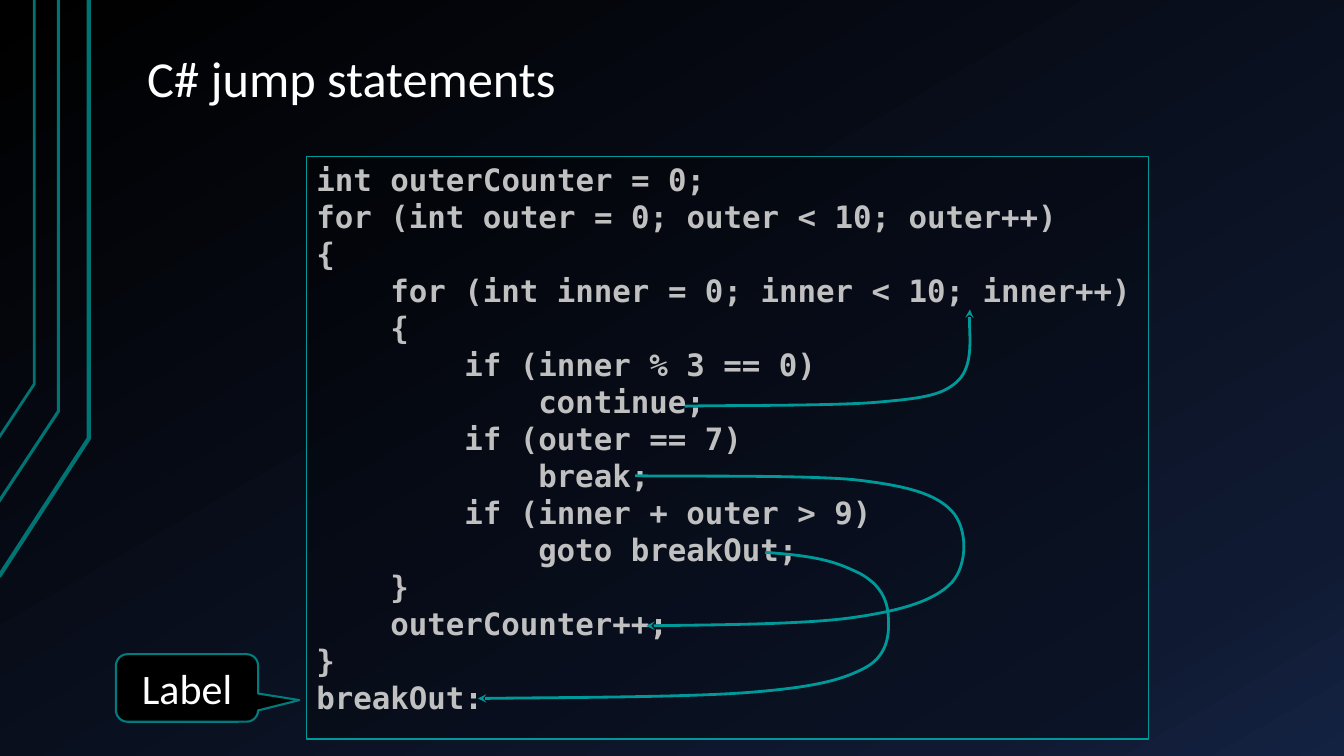
from pptx import Presentation
from pptx.dml.color import RGBColor
from pptx.enum.shapes import MSO_SHAPE
from pptx.enum.text import MSO_ANCHOR, PP_ALIGN
from pptx.oxml.ns import qn
from pptx.util import Inches, Pt
from lxml.etree import SubElement

TEAL, DARK, WHITE, GREY = "009999", "007373", "FFFFFF", "C0C0C0"
SANS, MONO = "Calibri", "DejaVu Sans Mono"
SIZE = 22
STEP = 4 * 0.6 * SIZE / 72  # four mono characters, in inches

CODE = [
    (0, "int outerCounter = 0;"),
    (0, "for (int outer = 0; outer < 10; outer++)"),
    (0, "{"),
    (1, "for (int inner = 0; inner < 10; inner++)"),
    (1, "{"),
    (2, "if (inner % 3 == 0)"),
    (3, "continue;"),
    (2, "if (outer == 7)"),
    (3, "break;"),
    (2, "if (inner + outer > 9)"),
    (3, "goto breakOut;"),
    (1, "}"),
    (1, "outerCounter++;"),
    (0, "}"),
    (0, "breakOut:"),
]

# Width, then the points of each corner line
TRIM = [
    (3, [(-0.01, 5.72), (0.88, 4.35), (0.88, 0)]),
    (2.25, [(-0.02, 4.99), (0.58, 4.08), (0.58, 0)]),
    (2, [(-0.01, 4.34), (0.34, 3.81), (0.34, 0)]),
]

# Start point, then three points for each Bezier part
JUMPS = {
    "continue": [
        (6.79, 4.03), (7.12, 4.02), (8.26, 4.03), (8.71, 3.99),
        (9.17, 3.95), (9.36, 3.92), (9.51, 3.77),
        (9.66, 3.61), (9.6, 3.21), (9.62, 3.07)],
    "break": [
        (6.3, 4.72), (6.67, 4.73), (7.95, 4.71), (8.48, 4.76),
        (9, 4.82), (9.28, 4.9), (9.44, 5.07),
        (9.6, 5.24), (9.6, 5.6), (9.44, 5.78),
        (9.27, 5.96), (8.94, 6.06), (8.44, 6.13),
        (7.93, 6.2), (6.83, 6.2), (6.41, 6.21)],
    "goto": [
        (7.59, 5.48), (8.17, 5.52), (8.32, 5.59), (8.53, 5.69),
        (8.73, 5.8), (8.8, 5.95), (8.81, 6.11),
        (8.82, 6.26), (8.82, 6.49), (8.59, 6.62),
        (8.35, 6.75), (8.06, 6.82), (7.42, 6.87),
        (6.78, 6.92), (5.3, 6.92), (4.74, 6.93)],
}


def color(code):
    """Turn a hex string into a colour."""
    return RGBColor.from_string(code)


def fade(fill, share):
    """Set the opacity of a solid fill, in percent."""
    tone = fill._xPr.find(".//" + qn("a:srgbClr"))
    SubElement(tone, qn("a:alpha"), val=str(share * 1000))


def write(shape, rows, font=SANS, size=SIZE, tone=WHITE, bold=False,
          align=PP_ALIGN.LEFT, anchor=MSO_ANCHOR.TOP, space=1.0,
          pad=(0.1, 0.05)):
    """Fill a shape with (level, text) rows in one format."""
    frame = shape.text_frame
    frame.word_wrap = True
    frame.vertical_anchor = anchor
    frame.margin_left = frame.margin_right = Inches(pad[0])
    frame.margin_top = frame.margin_bottom = Inches(pad[1])
    for place, (level, text) in enumerate(rows):
        para = frame.add_paragraph() if place else frame.paragraphs[0]
        para.alignment = align
        para.line_spacing = space
        if level:
            props = para._p.get_or_add_pPr()
            props.set("marL", str(Inches(level * STEP)))
            props.set("indent", "0")
        run = para.add_run()
        run.text = text
        run.font.name = font
        run.font.size = Pt(size)
        run.font.bold = bold
        run.font.color.rgb = color(tone)


class Deck:
    """Holds the style and the current slide."""

    def __init__(self):
        """Open a wide deck with one blank slide."""
        self.show = Presentation()
        self.show.slide_width = Inches(13.33)
        self.show.slide_height = Inches(7.5)
        self.slide = self.show.slides.add_slide(self.show.slide_layouts[6])
        self.shapes = self.slide.shapes

    def shade(self, stops, angle):
        """Give the slide a linear gradient, turned clockwise."""
        self.slide.background.fill.gradient()
        grad = self.slide.element.find(".//" + qn("a:gradFill"))
        items = grad.find(qn("a:gsLst"))
        for item in list(items):
            items.remove(item)
        for pos, code in stops:
            item = SubElement(items, qn("a:gs"), pos=str(pos * 1000))
            SubElement(item, qn("a:srgbClr"), val=code)
        grad.find(qn("a:lin")).set("ang", str(angle * 60000))

    def text(self, area, rows, **style):
        """Add a text box."""
        box = self.shapes.add_textbox(*map(Inches, area))
        write(box, rows, **style)

    def box(self, kind, area, rows, share, width, edge=100, adjust=(),
            **style):
        """Add a black, see-through preset shape with text."""
        shape = self.shapes.add_shape(kind, *map(Inches, area))
        for place, value in enumerate(adjust):
            shape.adjustments[place] = value
        shape.shadow.inherit = False
        shape.fill.solid()
        shape.fill.fore_color.rgb = color("000000")
        fade(shape.fill, share)
        shape.line.color.rgb = color(TEAL)
        shape.line.width = Pt(width)
        if edge < 100:
            fade(shape.line.fill, edge)
        write(shape, rows, **style)

    def trace(self, points, tone, width):
        """Add an open outline through the points."""
        spots = [(Inches(x), Inches(y)) for x, y in points]
        pen = self.shapes.build_freeform(*spots[0])
        pen.add_line_segments(spots[1:], close=False)
        shape = pen.convert_to_shape()
        shape.shadow.inherit = False
        shape.fill.background()
        shape.line.color.rgb = color(tone)
        shape.line.width = Pt(width)
        return shape

    def curve(self, points):
        """Add a Bezier arrow: each three points form one part."""
        shape = self.trace(points, TEAL, 2)
        lines = list(shape.element.iter(qn("a:lnTo")))
        track = lines[0].getparent()
        for first in range(0, len(lines), 3):
            bend = SubElement(track, qn("a:cubicBezTo"))
            for line in lines[first:first + 3]:
                bend.append(line[0])
                track.remove(line)
        SubElement(shape.line._get_or_add_ln(), qn("a:tailEnd"),
                   type="stealth")


deck = Deck()
deck.shade([(0, "000000"), (85, "0F1931"), (100, "142242")], 60)
for width, points in TRIM:
    deck.trace(points, DARK, width)
deck.text((1.33, 0.3, 11.33, 0.85), [(0, "C# jump statements")], size=36,
          anchor=MSO_ANCHOR.BOTTOM, space=0.9, pad=(0.13, 0.07))
deck.box(MSO_SHAPE.RECTANGLE, (3.04, 1.55, 8.35, 5.78), CODE, 25, 1,
         font=MONO, tone=GREY, bold=True)
for points in JUMPS.values():
    deck.curve(points)
deck.box(MSO_SHAPE.ROUNDED_RECTANGULAR_CALLOUT, (1.15, 6.49, 1.41, 0.67),
         [(0, "Label")], 95, 1.5, edge=80, adjust=(0.79, 0.18, 0.17),
         size=30, align=PP_ALIGN.CENTER, anchor=MSO_ANCHOR.MIDDLE)
deck.show.save("out.pptx")
